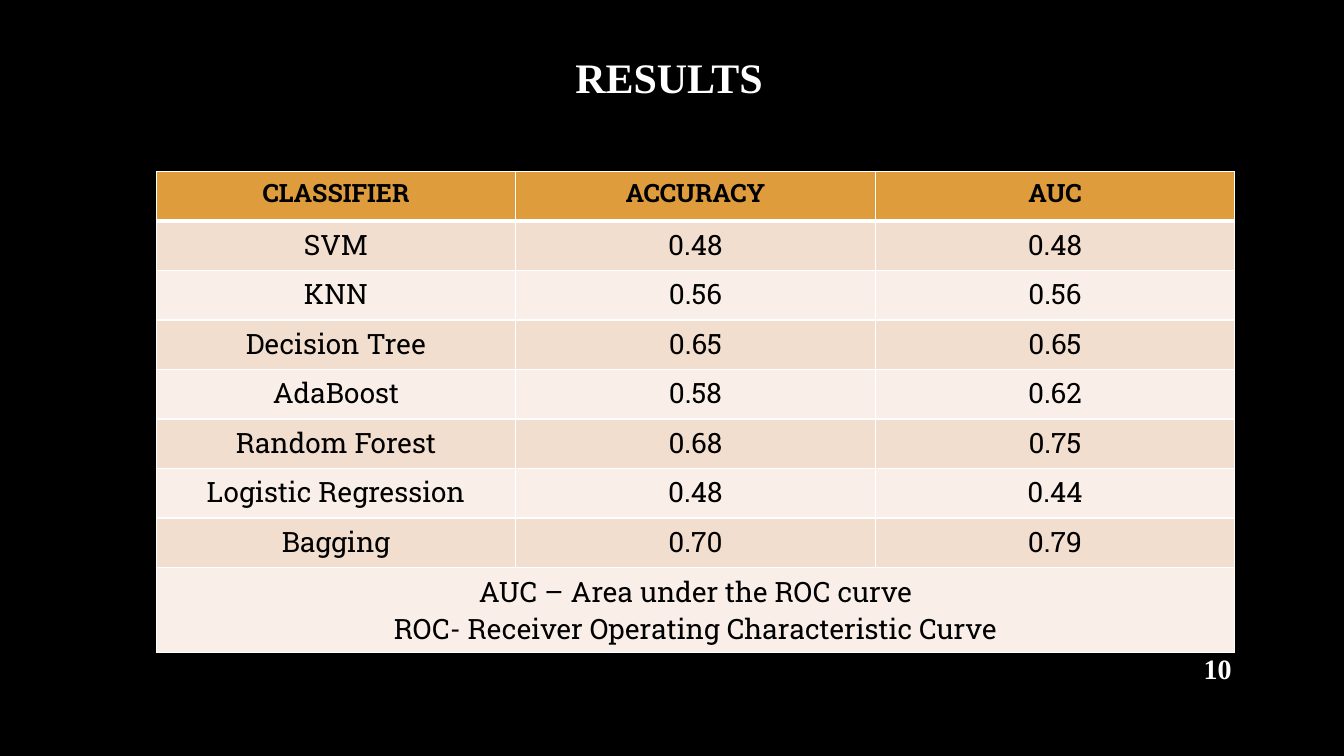
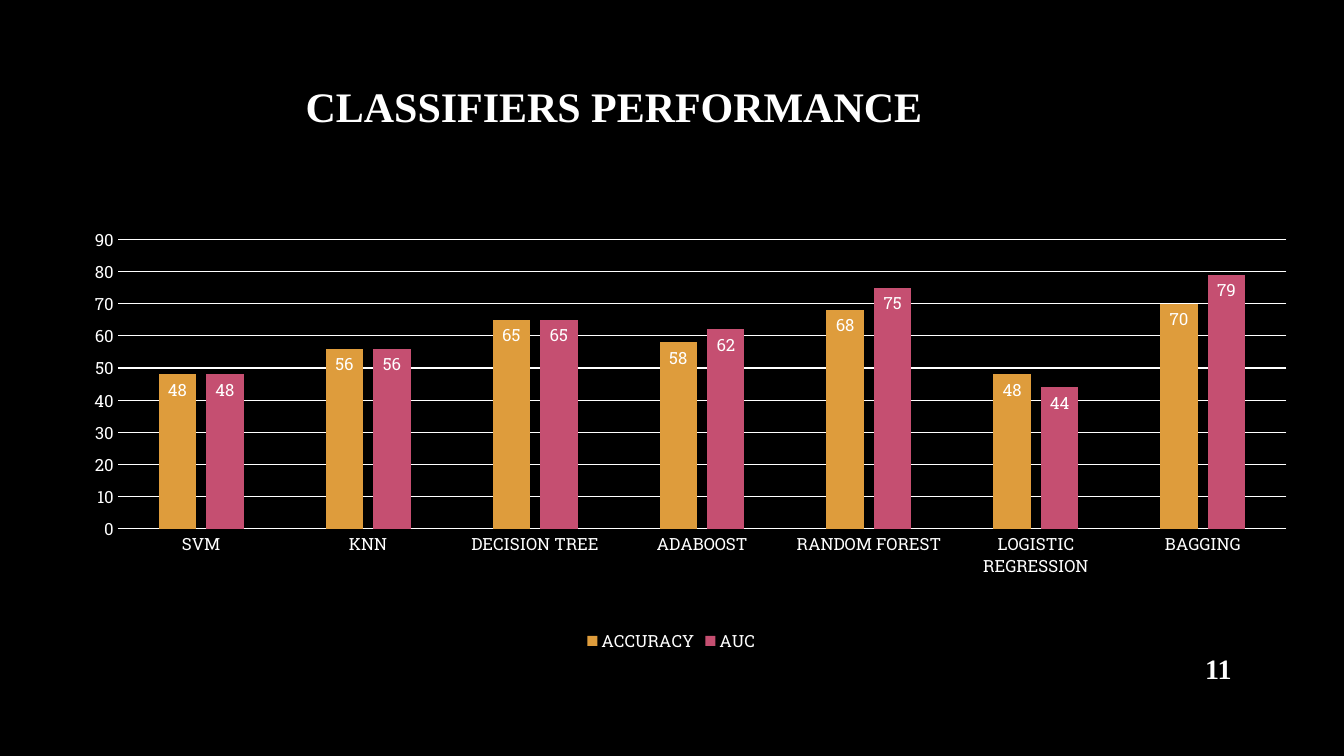
"""Build two slides on classifier results: a score table and a column chart."""
from lxml.etree import SubElement
from pptx import Presentation
from pptx.chart.data import CategoryChartData
from pptx.dml.color import RGBColor
from pptx.enum.chart import XL_CHART_TYPE as ChartType
from pptx.enum.chart import XL_LABEL_POSITION as LabelPosition
from pptx.enum.chart import XL_LEGEND_POSITION as LegendPosition
from pptx.enum.chart import XL_TICK_MARK as TickMark
from pptx.enum.text import MSO_ANCHOR as Anchor
from pptx.enum.text import PP_ALIGN as Align
from pptx.oxml import parse_xml
from pptx.oxml.ns import nsdecls, qn
from pptx.util import Inches, Pt

COLUMNS, ROWS = 160, 90
UNIT = Inches(7.5) // ROWS
BLACK, WHITE = "000000", "FFFFFF"
ORANGE, PINK = "DE9C3C", "C54F71"
BANDS = ("F9EFE8", "F2DECE")
HEADING_FONT, BODY_FONT = "Times New Roman", "Roboto Slab"
MEASURES = ("ACCURACY", "AUC")
SCORES = [
    ("SVM", 48, 48),
    ("KNN", 56, 56),
    ("Decision Tree", 65, 65),
    ("AdaBoost", 58, 62),
    ("Random Forest", 68, 75),
    ("Logistic Regression", 48, 44),
    ("Bagging", 70, 79),
]
FOOTNOTE = "AUC – Area under the ROC curve\nROC- Receiver Operating Characteristic Curve"


def style(font, name, size, color, bold=False):
    font.name, font.size, font.bold = name, Pt(size), bold
    font.color.rgb = RGBColor.from_string(color)


def add_heading(slide, text, box, size, align):
    frame = slide.shapes.add_textbox(*[int(UNIT * v) for v in box]).text_frame
    frame.word_wrap = True
    frame.vertical_anchor = Anchor.MIDDLE
    frame.text = text
    frame.paragraphs[0].alignment = align
    style(frame.paragraphs[0].font, HEADING_FONT, size, WHITE, True)


deck = Presentation()
deck.slide_width, deck.slide_height = UNIT * COLUMNS, UNIT * ROWS

pages = [
    ("RESULTS", (15.5, 4.1, 128.3, 10), Align.CENTER, "10"),
    ("CLASSIFIERS PERFORMANCE", (35.2, 7.6, 89.8, 10), Align.LEFT, "11"),
]
slides = []
for title, title_box, align, number in pages:
    slide = deck.slides.add_slide(deck.slide_layouts[6])
    slide.background.fill.solid()
    slide.background.fill.fore_color.rgb = RGBColor.from_string(BLACK)
    add_heading(slide, title, title_box, 30, align)
    add_heading(slide, number, (138, 77.2, 9.8, 4.8), 20, Align.RIGHT)
    slides.append(slide)
results, performance = slides

grid = [("CLASSIFIER", *MEASURES)]
grid += [(name, *[f"{value / 100:.2f}" for value in values]) for name, *values in SCORES]
grid.append((FOOTNOTE, "", ""))
last = len(grid) - 1
table_box = [int(UNIT * v) for v in (18.6, 20.4, 128.4, 57.3)]
table = results.shapes.add_table(len(grid), 3, *table_box).table
for column in table.columns:
    column.width = int(UNIT * 128.4 / 3)
for r, texts in enumerate(grid):
    table.rows[r].height = int(UNIT * (10.1 if r == last else 5.9))
    for c, text in enumerate(texts):
        cell = table.cell(r, c)
        cell.text = text
        for side in "LRTB":
            width = 3 if (r, side) in ((0, "B"), (1, "T")) else 1
            cell._tc.get_or_add_tcPr().append(parse_xml(
                f'<a:ln{side} {nsdecls("a")} w="{Pt(width)}"><a:solidFill>'
                f'<a:srgbClr val="{WHITE}"/></a:solidFill></a:ln{side}>'))
        cell.fill.solid()
        cell.fill.fore_color.rgb = RGBColor.from_string(BANDS[r % 2] if r else ORANGE)
        for paragraph in cell.text_frame.paragraphs:
            paragraph.alignment = Align.CENTER
            style(paragraph.font, BODY_FONT, 20 if r else 18, BLACK, r == 0)
table.cell(last, 0).merge(table.cell(last, 2))

names, *measured = zip(*SCORES)
scores = CategoryChartData()
scores.categories = [name.upper() for name in names]
for measure, values in zip(MEASURES, measured):
    scores.add_series(measure, values)
chart_box = [int(UNIT * v) for v in (6.7, 17.6, 146.5, 60.5)]
chart = performance.shapes.add_chart(ChartType.COLUMN_CLUSTERED, *chart_box, scores).chart
style(chart.font, BODY_FONT, 12, WHITE)
chart.has_title = False
chart.has_legend = True
chart.legend.position = LegendPosition.BOTTOM
chart.legend.include_in_layout = False
style(chart.legend.font, BODY_FONT, 12, WHITE)

columns = chart.plots[0]
columns.gap_width, columns.overlap, columns.vary_by_categories = 219, -27, False
for series, color in zip(columns.series, (ORANGE, PINK)):
    series.format.fill.solid()
    series.format.fill.fore_color.rgb = RGBColor.from_string(color)
    labels = series.data_labels
    labels.show_value = True
    labels.position = LabelPosition.INSIDE_END
    style(labels.font, BODY_FONT, 12, WHITE)

scale = chart.value_axis
scale.minimum_scale, scale.maximum_scale, scale.major_unit = 0, 90, 10
scale.format.line.fill.background()
for axis in (scale, chart.category_axis):
    axis.major_tick_mark = axis.minor_tick_mark = TickMark.NONE
    style(axis.tick_labels.font, BODY_FONT, 12, WHITE)
for line in (scale.major_gridlines.format.line, chart.category_axis.format.line):
    line.width = Pt(0.75)
    line.color.rgb = RGBColor.from_string(WHITE)

plot_area = chart._chartSpace.chart.plotArea
for old in plot_area.findall(qn("c:layout")):
    plot_area.remove(old)
layout = parse_xml(f'<c:layout {nsdecls("c")}><c:manualLayout/></c:layout>')
plot_area.insert(0, layout)
placement = {"layoutTarget": "inner", "xMode": "edge", "yMode": "edge",
             "x": 0.05, "y": 0.18, "w": 0.95, "h": 0.57}
for key, value in placement.items():
    SubElement(layout[0], qn(f"c:{key}")).set("val", str(value))

deck.save("out.pptx")
